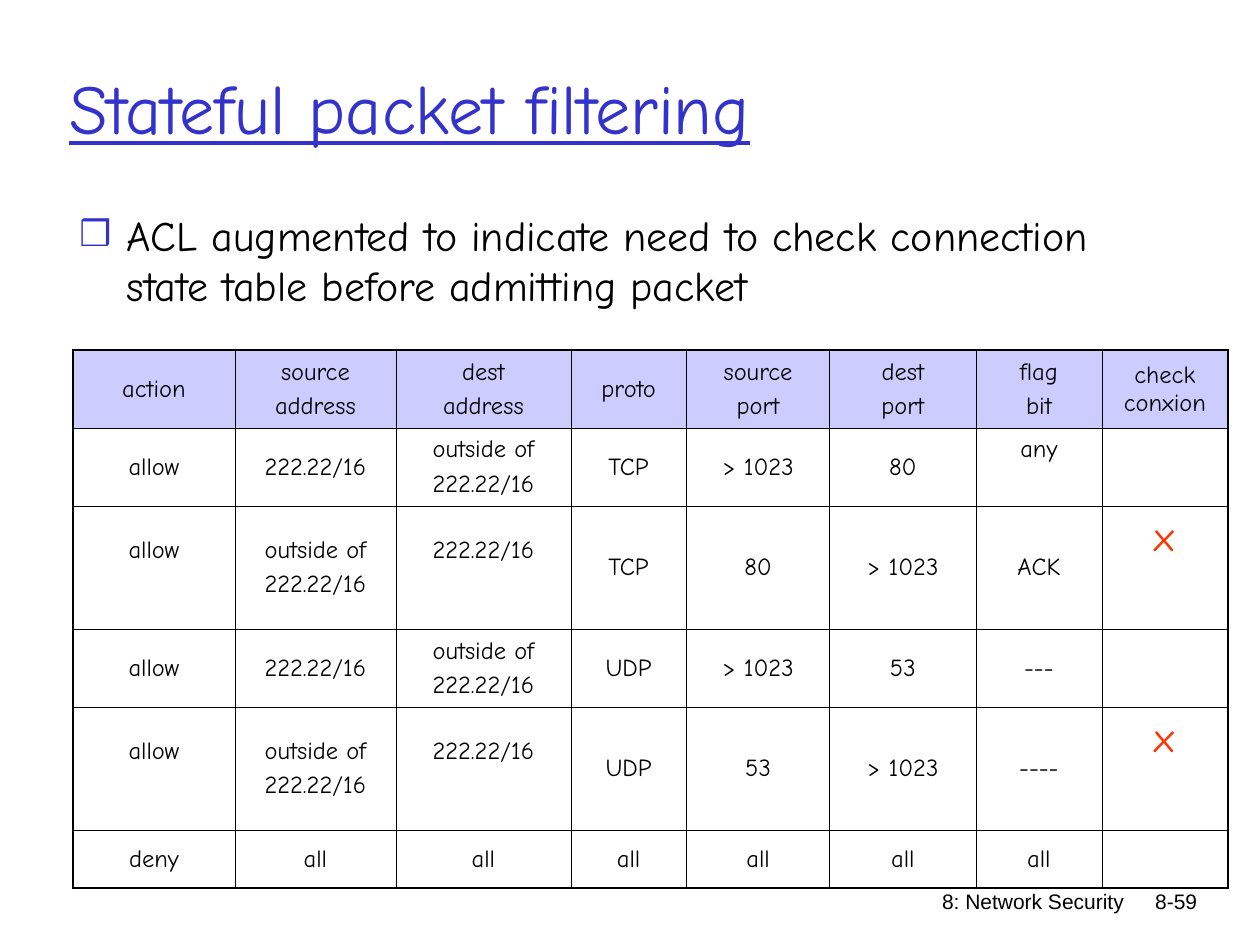
"""Build the slide on stateful packet filtering with its access control table."""
from lxml.etree import SubElement
from pptx import Presentation
from pptx.dml.color import RGBColor
from pptx.enum.text import MSO_ANCHOR, MSO_AUTO_SIZE, PP_ALIGN
from pptx.oxml.ns import qn
from pptx.util import Pt

COLORS = {"ink": "000000", "accent": "3333CC", "header": "CCCCFF", "mark": "FF3300"}
FONTS = {"hand": "Comic Neue", "plain": "Arial"}
FORMATS = {
    "title": {"size": Pt(40), "name": FONTS["hand"], "underline": True},
    "body": {"size": Pt(24), "name": FONTS["hand"]},
    "cell": {"size": Pt(14), "name": FONTS["hand"]},
    "footer": {"size": Pt(12), "name": FONTS["plain"]},
}
THIN, THICK = 0.45, 1.08
LIFTS = {"cell": 20, "body": 34}

COLUMN_WIDTHS = [92.5, 92, 100, 66, 82, 83.5, 72, 72]
ROW_HEIGHTS = [44.5, 44.5, 70.5, 44.5, 70.5, 33]
INSIDE, OUTSIDE = "222.22/16", "outside of\n222.22/16"
RULES = [
    ["action", "source\naddress", "dest\naddress", "proto", "source\nport",
     "dest\nport", "flag\nbit", "check conxion"],
    ["allow", INSIDE, OUTSIDE, "TCP", "> 1023", "80", "any", ""],
    ["allow", OUTSIDE, INSIDE, "TCP", "80", "> 1023", "ACK", "x"],
    ["allow", INSIDE, OUTSIDE, "UDP", "> 1023", "53", "---", ""],
    ["allow", OUTSIDE, INSIDE, "UDP", "53", "> 1023", "----", "x"],
    ["deny"] + ["all"] * 6 + [""],
]
RAISED = {(1, 6), (2, 0), (2, 2), (2, 7), (4, 0), (4, 2), (4, 7)}


class SlideBuilder:
    """Hold the style and the current slide."""

    def __init__(self, deck):
        self.page = deck.slides.add_slide(deck.slide_layouts[1])

    def style(self, font, kind, color="ink"):
        for name, value in FORMATS[kind].items():
            setattr(font, name, value)
        font.color.rgb = RGBColor.from_string(COLORS[color])

    def place(self, box, left, top, width, height):
        for name, value in zip(("left", "top", "width", "height"), (left, top, width, height)):
            setattr(box, name, Pt(value))

    def fill_frame(self, frame, text, kind, align, color="ink", anchor=MSO_ANCHOR.TOP):
        frame.word_wrap = True
        frame.auto_size = MSO_AUTO_SIZE.NONE
        frame.vertical_anchor = anchor
        para = frame.paragraphs[0]
        para.alignment = align
        para.space_before = Pt(0)
        span = para.add_run()
        span.text = text
        self.style(span.font, kind, color)
        return para

    def title(self, text, *bounds):
        box = self.page.shapes.title
        self.place(box, *bounds)
        self.fill_frame(box.text_frame, text, "title", PP_ALIGN.LEFT, "accent", MSO_ANCHOR.MIDDLE)

    def body(self, text, *bounds):
        box = self.page.placeholders[1]
        self.place(box, *bounds)
        para = self.fill_frame(box.text_frame, text, "body", PP_ALIGN.LEFT)
        properties = para._p.get_or_add_pPr()
        properties.set("marL", str(Pt(27)))
        properties.set("indent", str(Pt(-27)))
        SubElement(SubElement(properties, qn("a:buClr")), qn("a:srgbClr"), val=COLORS["accent"])
        SubElement(properties, qn("a:buSzPct"), val="85000")
        SubElement(properties, qn("a:buChar"), char="❒")

    def footer(self, text, *bounds):
        box = self.page.shapes.add_textbox(*map(Pt, bounds))
        self.fill_frame(box.text_frame, text, "footer", PP_ALIGN.RIGHT)

    def borders(self, cell, outer):
        properties = cell._tc.get_or_add_tcPr()
        for side in "LRTB":
            width = THICK if side in outer else THIN
            line = SubElement(properties, qn(f"a:ln{side}"), w=str(Pt(width)))
            SubElement(SubElement(line, qn("a:solidFill")), qn("a:srgbClr"), val=COLORS["ink"])

    def cell(self, cell, text, raised):
        cell.vertical_anchor = MSO_ANCHOR.MIDDLE
        kind, color = ("body", "mark") if text == "x" else ("cell", "ink")
        if raised:
            cell.margin_bottom = Pt(3.6 + LIFTS[kind])
        if not text:
            return
        cell.text_frame.text = text
        for index, para in enumerate(cell.text_frame.paragraphs):
            para.alignment = PP_ALIGN.CENTER
            para.space_before = Pt(3.5 if index else 0)
            for span in para.runs:
                self.style(span.font, kind, color)

    def table(self, rows, left, top):
        last_row, last_column = len(rows) - 1, len(rows[0]) - 1
        bounds = (left, top, sum(COLUMN_WIDTHS), sum(ROW_HEIGHTS))
        table = self.page.shapes.add_table(len(rows), len(rows[0]), *map(Pt, bounds)).table
        table.horz_banding = table.first_row = False
        for column, width in zip(table.columns, COLUMN_WIDTHS):
            column.width = Pt(width)
        for row, height in zip(table.rows, ROW_HEIGHTS):
            row.height = Pt(height)
        for r, texts in enumerate(rows):
            for c, text in enumerate(texts):
                cell = table.cell(r, c)
                edges = {"L": c == 0, "R": c == last_column, "T": r == 0, "B": r == last_row}
                self.borders(cell, [side for side, outer in edges.items() if outer])
                if r == 0:
                    cell.fill.solid()
                    cell.fill.fore_color.rgb = RGBColor.from_string(COLORS["header"])
                else:
                    cell.fill.background()
                self.cell(cell, text, (r, c) in RAISED)


def main():
    deck = Presentation()
    deck.slide_width, deck.slide_height = Pt(720), Pt(540)
    builder = SlideBuilder(deck)
    builder.title("Stateful packet filtering", 32.4, 15.84, 612, 90)
    builder.body("ACL augmented to indicate need to check connection state table "
                 "before admitting packet", 38.16, 115.92, 592, 361.5)
    builder.table(RULES, 41.76, 200.16)
    builder.footer("8: Network Security", 421.2, 504, 228.24, 36)
    builder.footer("8-59", 633.6, 504, 57.6, 23)
    deck.save("out.pptx")


if __name__ == "__main__":
    main()
